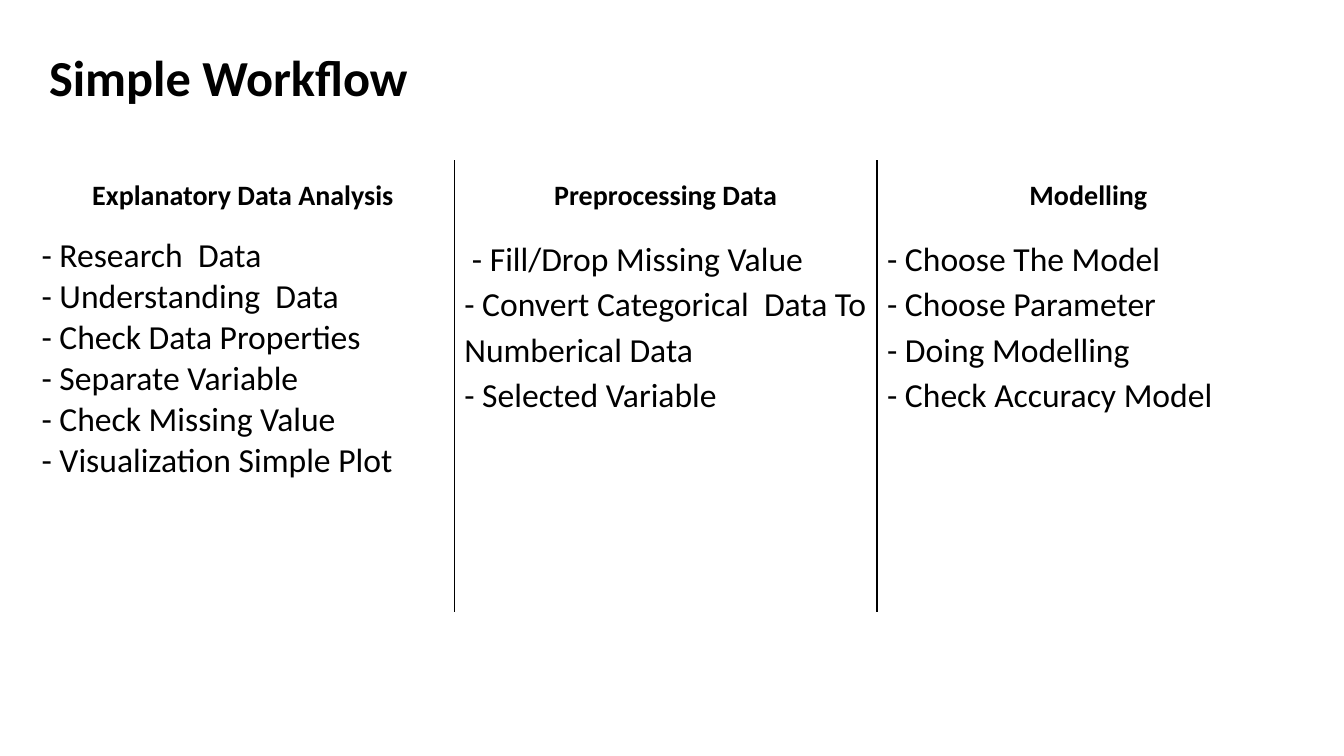
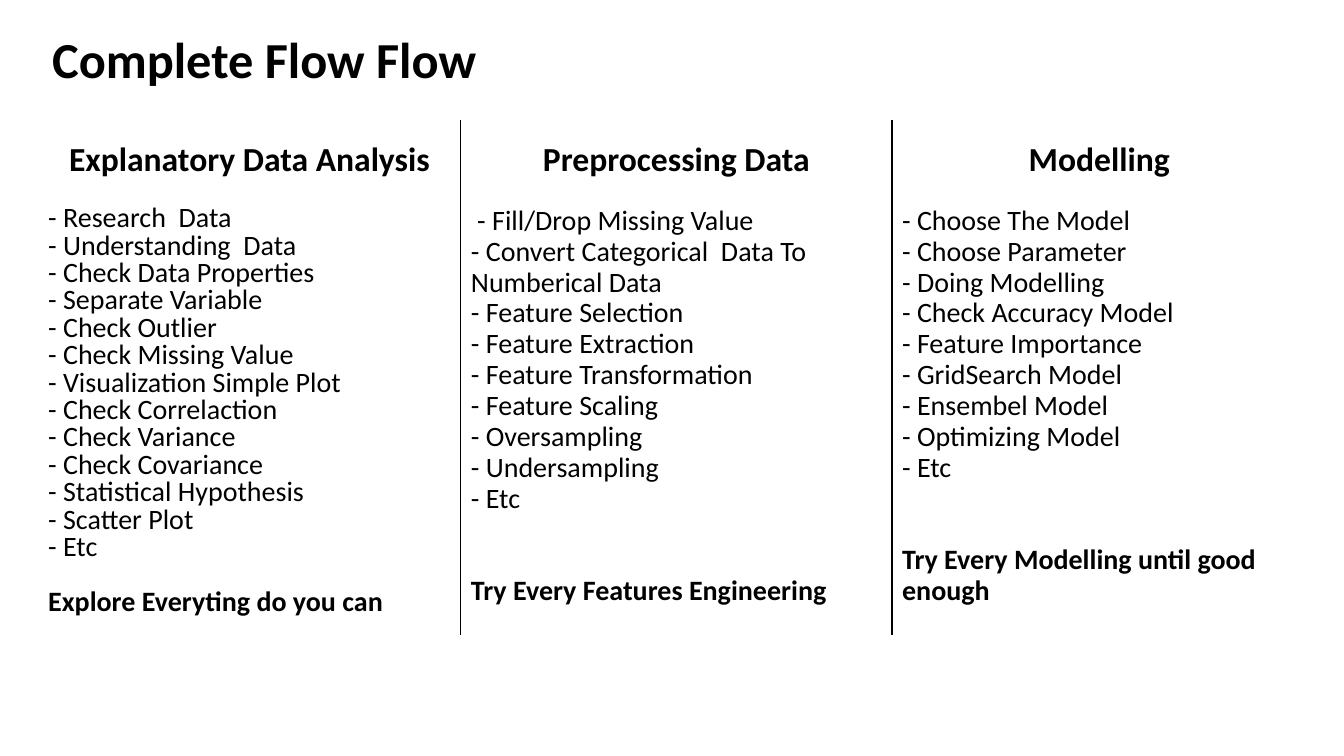
from pptx import Presentation
from pptx.util import Pt
from pptx.dml.color import RGBColor
from pptx.enum.text import MSO_ANCHOR, PP_ALIGN
from pptx.oxml.ns import qn
from lxml.etree import SubElement

INK = "000000"
FONT = "Calibri"
TITLE_SIZE = 36
RULE_WIDTH = 1

SLIDES = [
    {
        "title": "Simple Workflow",
        "title_at": (28, 35.3),
        "table_at": (22.5, 114.5),
        "widths": (302, 302, 302),
        "heights": (50.4, 272),
        "sizes": (20, 24),
        "columns": [
            {
                "heading": "Explanatory Data Analysis",
                "spacing": 1.0,
                "steps": [
                    "- Research  Data",
                    "- Understanding  Data",
                    "- Check Data Properties",
                    "- Separate Variable",
                    "- Check Missing Value",
                    "- Visualization Simple Plot",
                ],
            },
            {
                "heading": "Preprocessing Data",
                "spacing": 1.1,
                "steps": [
                    " - Fill/Drop Missing Value",
                    "- Convert Categorical  Data To Numberical Data",
                    "- Selected Variable",
                ],
            },
            {
                "heading": "Modelling",
                "spacing": 1.1,
                "steps": [
                    "- Choose The Model",
                    "- Choose Parameter",
                    "- Doing Modelling",
                    "- Check Accuracy Model",
                ],
            },
        ],
    },
    {
        "title": "Complete Flow Flow",
        "title_at": (30.2, 22.3),
        "table_at": (27.2, 85.7),
        "widths": (302, 308, 296),
        "heights": (57.6, 310.3),
        "sizes": (24, 20),
        "columns": [
            {
                "heading": "Explanatory Data Analysis",
                "spacing": 0.8,
                "steps": [
                    "- Research  Data",
                    "- Understanding  Data",
                    "- Check Data Properties",
                    "- Separate Variable",
                    "- Check Outlier",
                    "- Check Missing Value",
                    "- Visualization Simple Plot",
                    "- Check Correlaction",
                    "- Check Variance",
                    "- Check Covariance",
                    "- Statistical Hypothesis",
                    "- Scatter Plot",
                    "- Etc",
                ],
                "advice": "Explore Everyting do you can",
                "gap": 19.5,
            },
            {
                "heading": "Preprocessing Data",
                "spacing": 0.9,
                "steps": [
                    " - Fill/Drop Missing Value",
                    "- Convert Categorical  Data To Numberical Data",
                    "- Feature Selection",
                    "- Feature Extraction",
                    "- Feature Transformation",
                    "- Feature Scaling",
                    "- Oversampling",
                    "- Undersampling",
                    "- Etc",
                ],
                "advice": "Try Every Features Engineering",
                "gap": 44,
            },
            {
                "heading": "Modelling",
                "spacing": 0.9,
                "steps": [
                    "- Choose The Model",
                    "- Choose Parameter",
                    "- Doing Modelling",
                    "- Check Accuracy Model",
                    "- Feature Importance",
                    "- GridSearch Model",
                    "- Ensembel Model",
                    "- Optimizing Model",
                    "- Etc",
                ],
                "advice": "Try Every Modelling until good enough",
                "gap": 44,
            },
        ],
    },
]


def color(code):
    return RGBColor.from_string(code)


def write(frame, lines, size, spacing, bold=False, align=PP_ALIGN.LEFT):
    for number, line in enumerate(lines):
        para = frame.add_paragraph() if number else frame.paragraphs[0]
        para.text = line
        para.alignment = align
        para.line_spacing = spacing
        para.font.name = FONT
        para.font.size = Pt(size)
        para.font.bold = bold
        para.font.color.rgb = color(INK)


def add_title(page, text, left, top):
    box = page.shapes.add_textbox(Pt(left), Pt(top), Pt(836), Pt(49))
    frame = box.text_frame
    frame.word_wrap = True
    frame.vertical_anchor = MSO_ANCHOR.MIDDLE
    write(frame, [text], TITLE_SIZE, 0.7, bold=True)


def set_borders(cell, ruled_sides):
    properties = cell._tc.get_or_add_tcPr()
    for side in "LRTB":
        line = SubElement(properties, qn("a:ln" + side), w=str(Pt(RULE_WIDTH)))
        if side in ruled_sides:
            fill = SubElement(line, qn("a:solidFill"))
            SubElement(fill, qn("a:srgbClr"), val=INK)
        else:
            SubElement(line, qn("a:noFill"))
    cell.fill.background()


def add_workflow(page, content):
    columns = content["columns"]
    widths, heights = content["widths"], content["heights"]
    heading_size, step_size = content["sizes"]
    left, top = content["table_at"]
    table = page.shapes.add_table(
        len(heights), len(columns), Pt(left), Pt(top), Pt(sum(widths)), Pt(sum(heights))
    ).table
    table.first_row = False
    table.horz_banding = False
    for row, height in zip(table.rows, heights):
        row.height = Pt(height)
    for index, column in enumerate(columns):
        table.columns[index].width = Pt(widths[index])
        heading, body = table.cell(0, index), table.cell(1, index)
        sides = ("L" if index else "") + ("R" if index < len(columns) - 1 else "")
        for cell in (heading, body):
            set_borders(cell, sides)
        heading.vertical_anchor = MSO_ANCHOR.MIDDLE
        write(heading.text_frame, [column["heading"]], heading_size, 1.0, True, PP_ALIGN.CENTER)
        advice = [column["advice"]] if "advice" in column else []
        write(body.text_frame, column["steps"] + advice, step_size, column["spacing"])
        if advice:
            closing = body.text_frame.paragraphs[-1]
            closing.font.bold = True
            closing.space_before = Pt(column["gap"])


deck = Presentation()
deck.slide_width, deck.slide_height = Pt(960), Pt(540)
for content in SLIDES:
    page = deck.slides.add_slide(deck.slide_layouts[6])
    add_title(page, content["title"], *content["title_at"])
    add_workflow(page, content)
deck.save("out.pptx")
